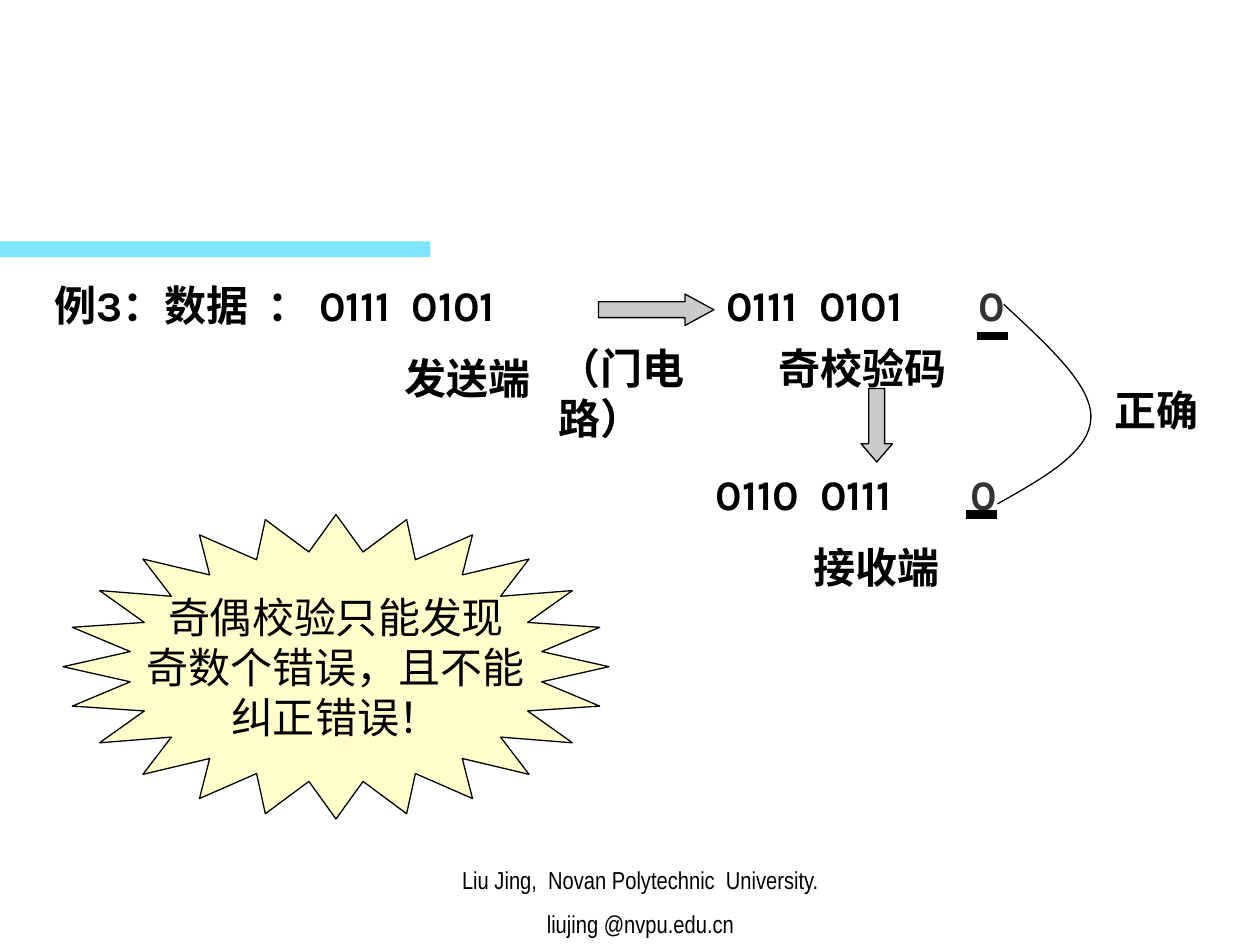
from dataclasses import dataclass

from lxml.etree import SubElement
from pptx import Presentation
from pptx.dml.color import RGBColor
from pptx.enum.shapes import MSO_CONNECTOR, MSO_SHAPE
from pptx.enum.text import MSO_ANCHOR, MSO_AUTO_SIZE, PP_ALIGN
from pptx.oxml.ns import qn
from pptx.util import Inches, Pt


@dataclass(frozen=True)
class Theme:
    ink: RGBColor = RGBColor(0x00, 0x00, 0x00)
    parity: RGBColor = RGBColor(0x33, 0x33, 0x33)
    bar: RGBColor = RGBColor(0x00, 0xCC, 0xFF)
    arrow: RGBColor = RGBColor(0xCB, 0xCB, 0xCB)
    burst: RGBColor = RGBColor(0xFF, 0xFF, 0xCC)
    body_font: str = "Karla"
    footer_font: str = "Arial Narrow"
    body_size: Pt = Pt(24)
    footer_size: Pt = Pt(14)
    thin: Pt = Pt(0.75)
    thick: Pt = Pt(5)
    body_gap: Pt = Pt(15)
    footer_gap: Pt = Pt(8.8)


THEME = Theme()
CELL = Inches(1) / 12
COLUMNS, ROWS = 120, 90


def cells(*counts):
    return [round(count * CELL) for count in counts]


def write(shape, text, align=PP_ALIGN.LEFT, color=THEME.ink, bold=True,
          font=THEME.body_font, size=THEME.body_size, gap=THEME.body_gap):
    shape.text_frame.text = text
    for paragraph in shape.text_frame.paragraphs:
        paragraph.alignment = align
        paragraph.space_before = gap
        for run in paragraph.runs:
            run.font.name = font
            run.font.size = size
            run.font.bold = bold
            run.font.color.rgb = color


def add_label(slide, box, text, wrap=True, **style):
    shape = slide.shapes.add_textbox(*cells(*box))
    write(shape, text, **style)
    shape.text_frame.word_wrap = wrap
    shape.text_frame.auto_size = MSO_AUTO_SIZE.SHAPE_TO_FIT_TEXT


def add_preset(slide, kind, box, fill, adjustments=()):
    shape = slide.shapes.add_shape(kind, *cells(*box))
    shape.shadow.inherit = False
    shape.fill.solid()
    shape.fill.fore_color.rgb = fill
    shape.line.color.rgb = THEME.ink
    shape.line.width = THEME.thin
    for index, value in enumerate(adjustments):
        shape.adjustments[index] = value
    return shape


def add_title_bar(slide):
    bar = add_preset(slide, MSO_SHAPE.RECTANGLE, (0, 23, 41, 1.5), THEME.bar)
    bar.line.fill.background()
    color = next(bar.fill._xPr.iter(qn("a:srgbClr")))
    SubElement(color, qn("a:alpha"), val="50000")


def add_footer(slide):
    footer = slide.shapes.add_textbox(*cells(36, 81, 50, 9))
    write(footer, "Liu Jing,  Novan Polytechnic  University.\nliujing @nvpu.edu.cn",
          align=PP_ALIGN.CENTER, bold=False, font=THEME.footer_font,
          size=THEME.footer_size, gap=THEME.footer_gap)
    footer.text_frame.word_wrap = True
    footer.text_frame.vertical_anchor = MSO_ANCHOR.BOTTOM


def add_underline(slide, column, row, width=3):
    line = slide.shapes.add_connector(
        MSO_CONNECTOR.STRAIGHT, *cells(column, row, column + width, row))
    line.line.color.rgb = THEME.ink
    line.line.width = THEME.thick
    SubElement(line._element.spPr, qn("a:effectLst"))


def add_curve(slide, start, controls):
    builder = slide.shapes.build_freeform(*cells(*start))
    builder.add_line_segments([cells(*point) for point in controls], close=False)
    curve = builder.convert_to_shape()
    segments = list(curve._element.iter(qn("a:lnTo")))
    outline = segments[0].getparent()
    for first in range(0, len(segments), 3):
        bezier = SubElement(outline, qn("a:cubicBezTo"))
        for segment in segments[first:first + 3]:
            bezier.append(segment[0])
            outline.remove(segment)
    curve.shadow.inherit = False
    curve.fill.background()
    curve.line.color.rgb = THEME.ink
    curve.line.width = THEME.thin


def add_burst(slide):
    burst = add_preset(slide, MSO_SHAPE.STAR_24_POINT, (6, 49, 52, 29),
                       THEME.burst, (0.38,))
    write(burst, "奇偶校验只能发现\n奇数个错误，且不能\n纠正错误！",
          align=PP_ALIGN.CENTER, bold=False, gap=Pt(0))
    burst.text_frame.word_wrap = False
    burst.text_frame.vertical_anchor = MSO_ANCHOR.MIDDLE


def add_sender(slide):
    add_label(slide, (4, 26, 54, 6), "例3：数据  ： 0111  0101")
    add_label(slide, (30, 33, 29, 6), "发送端", align=PP_ALIGN.CENTER)
    add_preset(slide, MSO_SHAPE.RIGHT_ARROW, (57, 28, 11, 3), THEME.arrow, (0.5, 0.92))
    add_label(slide, (52, 32, 20, 10.8), "（门电路）")


def add_check_code(slide):
    add_label(slide, (73, 32, 20, 10.8), "奇校验码")
    add_label(slide, (68, 26, 28, 6), "0111  0101")
    add_label(slide, (92, 26, 7, 6), "0", color=THEME.parity)
    add_underline(slide, 93, 32)
    add_preset(slide, MSO_SHAPE.DOWN_ARROW, (82, 37, 3, 7), THEME.arrow, (0.5, 0.58))


def add_receiver(slide):
    add_label(slide, (67, 44, 26, 6), "0110  0111")
    add_label(slide, (91.2, 44, 4.7, 6), "0", wrap=False, color=THEME.parity, gap=Pt(0))
    add_underline(slide, 92, 49)
    add_label(slide, (69, 51, 29, 6), "接收端", align=PP_ALIGN.CENTER)


def add_verdict(slide):
    add_curve(slide, (95.6, 29), [(99.8, 32.9), (104, 36.7), (103.9, 39.8),
                                  (103.8, 43.1), (99.4, 45.5), (95, 48)])
    add_label(slide, (105, 36, 13, 6), "正确")


def main():
    presentation = Presentation()
    presentation.slide_width, presentation.slide_height = cells(COLUMNS, ROWS)
    slide = presentation.slides.add_slide(presentation.slide_layouts[6])
    add_title_bar(slide)
    add_footer(slide)
    add_sender(slide)
    add_check_code(slide)
    add_receiver(slide)
    add_verdict(slide)
    add_burst(slide)
    presentation.save("out.pptx")


if __name__ == "__main__":
    main()
